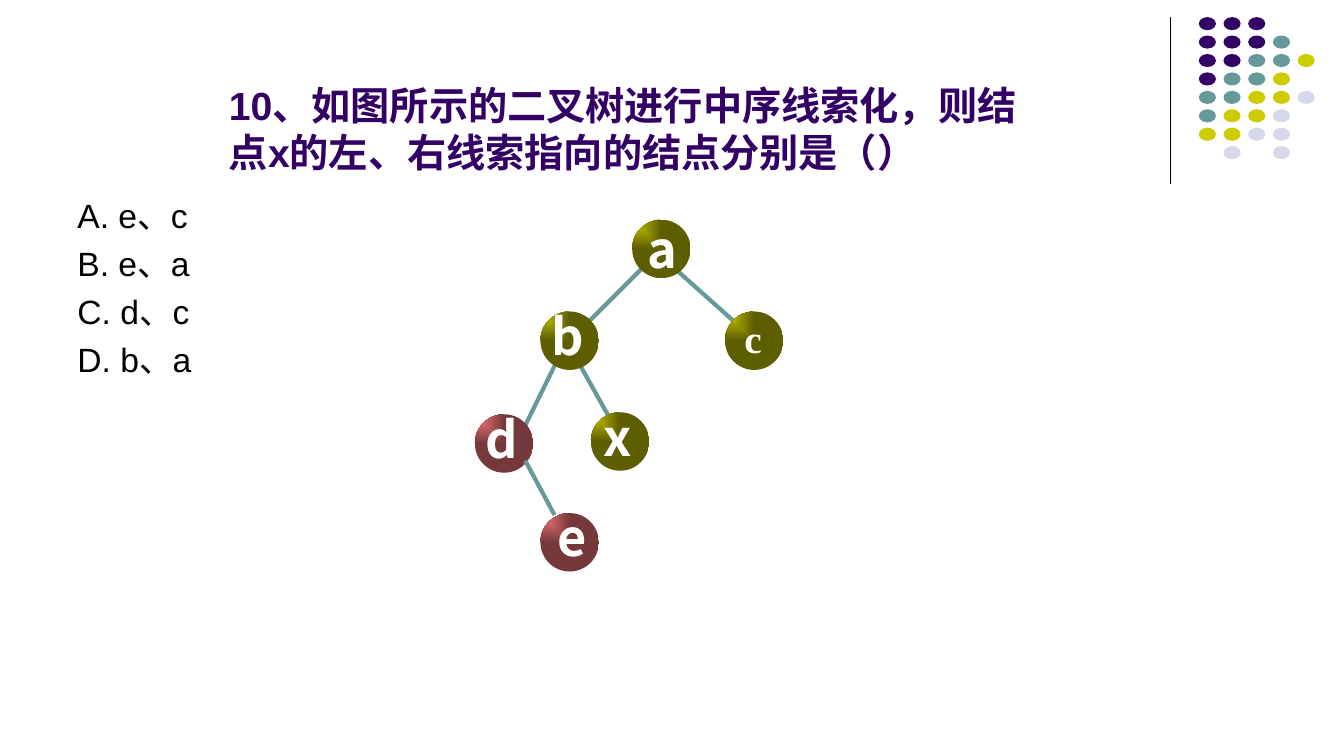
from lxml import etree
from pptx import Presentation
from pptx.dml.color import RGBColor
from pptx.enum.shapes import MSO_CONNECTOR, MSO_SHAPE
from pptx.enum.text import MSO_ANCHOR, PP_ALIGN
from pptx.oxml.ns import qn
from pptx.util import Inches, Pt

STRAIGHT = MSO_CONNECTOR.STRAIGHT
OVAL = MSO_SHAPE.OVAL
TOP, MIDDLE, BOTTOM = MSO_ANCHOR.TOP, MSO_ANCHOR.MIDDLE, MSO_ANCHOR.BOTTOM
LEFT, CENTER = PP_ALIGN.LEFT, PP_ALIGN.CENTER

BLACK = RGBColor(0x00, 0x00, 0x00)
WHITE = RGBColor(0xFF, 0xFF, 0xFF)
PURPLE = RGBColor(0x33, 0x00, 0x66)
TEAL = RGBColor(0x66, 0x99, 0x99)
YELLOW = RGBColor(0xCC, 0xCC, 0x00)
LILAC = RGBColor(0xD8, 0xD8, 0xEC)
OLIVE = RGBColor(0x5E, 0x5E, 0x00)
PINK = RGBColor(0xFF, 0x7C, 0x80)
MAROON = RGBColor(0x76, 0x39, 0x3B)

SANS, CJK, SERIF = "Arial", "Noto Sans CJK SC", "Times New Roman"
GOLD, ROSE = (YELLOW, OLIVE), (PINK, MAROON)

TITLE = "10、如图所示的二叉树进行中序线索化，则结点x的左、右线索指向的结点分别是（）"
CHOICES = ["A. e、c", "B. e、a", "C. d、c", "D. b、a"]

DOTS = ["PPP", "PPPT", "PPTTY", "PTTY", "TTYYL", "TYYL", "YYLL", " L L"]
INKS = {"P": PURPLE, "T": TEAL, "Y": YELLOW, "L": LILAC}

EDGES = [
    (5.69, 3.51, 6.11, 4.26),
    (5.52, 3.59, 5.19, 4.26),
    (6.61, 2.59, 7.36, 3.26),
    (6.44, 2.59, 5.77, 3.26),
]
LAST_EDGE = (5.21, 4.57, 5.5, 5.11)
NODES = [
    (6.27, 2.18, GOLD),
    (4.71, 4.11, ROSE),
    (5.86, 4.09, GOLD),
    (5.36, 3.09, GOLD),
    (7.19, 3.09, GOLD),
    (5.36, 5.09, ROSE),
]
LABELS = [
    ("c", (7.28, 3.07, 0.38, 0.57), 28, SERIF),
    ("b", (5.36, 2.97, 0.54, 0.71), 36, CJK),
    ("x", (5.88, 3.97, 0.5, 0.71), 36, CJK),
    ("d", (4.71, 3.99, 0.54, 0.71), 36, CJK),
    ("e", (5.42, 4.97, 0.5, 0.71), 36, CJK),
    ("a", (6.32, 2.11, 0.49, 0.71), 36, CJK),
]


class Board:
    def __init__(self, deck):
        self.slide = deck.slides.add_slide(deck.slide_layouts[5])
        self.shapes = self.slide.shapes

    def letter(self, shape, lines, size, color, face=SANS, bold=False,
               align=LEFT, anchor=TOP, wrap=True, gap=0):
        frame = shape.text_frame
        frame.text = "\n".join(lines)
        frame.word_wrap = wrap
        frame.vertical_anchor = anchor
        for para in frame.paragraphs:
            para.alignment = align
            para.space_before = Pt(gap)
            font = para.font
            font.size, font.bold, font.name = Pt(size), bold, face
            font.color.rgb = color
            east = etree.SubElement(font._element, qn("a:ea"))
            east.set("typeface", CJK)

    def title(self, text, box):
        head = self.shapes.title
        head.left, head.top, head.width, head.height = map(Inches, box)
        self.letter(head, [text], 28, PURPLE, bold=True, anchor=BOTTOM)

    def text(self, lines, box, size, color, **style):
        shape = self.shapes.add_textbox(*map(Inches, box))
        self.letter(shape, lines, size, color, **style)

    def line(self, ends, color, width):
        edge = self.shapes.add_connector(STRAIGHT, *map(Inches, ends))
        edge.line.color.rgb = color
        edge.line.width = Pt(width)
        etree.SubElement(edge._element.spPr, qn("a:effectLst"))

    def oval(self, *box):
        shape = self.shapes.add_shape(OVAL, *map(Inches, box))
        shape.shadow.inherit = False
        shape.line.fill.background()
        return shape

    def dot(self, left, top, color):
        fill = self.oval(left, top, 0.17, 0.13).fill
        fill.solid()
        fill.fore_color.rgb = color

    def node(self, left, top, tones):
        shape = self.oval(left, top, 0.58, 0.58)
        shape.fill.gradient()
        for stop, tone in zip(shape.fill.gradient_stops, tones):
            stop.color.rgb = tone
        grad = shape._element.spPr.find(qn("a:gradFill"))
        grad.remove(grad.find(qn("a:lin")))
        route = etree.SubElement(grad, qn("a:path"))
        route.set("path", "rect")
        focus = etree.SubElement(route, qn("a:fillToRect"))
        focus.set("r", "100000")
        focus.set("b", "100000")


def main():
    deck = Presentation()
    deck.slide_width, deck.slide_height = Inches(13.33), Inches(7.5)
    board = Board(deck)
    board.line((11.61, 0.17, 11.61, 1.83), BLACK, 0.75)
    for row, marks in enumerate(DOTS):
        for col, mark in enumerate(marks):
            if mark in INKS:
                top = 0.17 + 1.28 * row / 7
                board.dot(11.89 + 0.98 * col / 4, top, INKS[mark])
    board.title(TITLE, (2.17, 0.15, 8.25, 1.64))
    board.text(CHOICES, (0.67, 1.88, 12, 4.82), 24, BLACK, gap=5.5)
    for ends in EDGES:
        board.line(ends, TEAL, 3)
    for left, top, tones in NODES:
        board.node(left, top, tones)
    for name, box, size, face in LABELS:
        board.text([name], box, size, WHITE, face=face, bold=True,
                   align=CENTER, anchor=MIDDLE, wrap=False)
    board.line(LAST_EDGE, TEAL, 3)
    deck.save("out.pptx")


if __name__ == "__main__":
    main()
